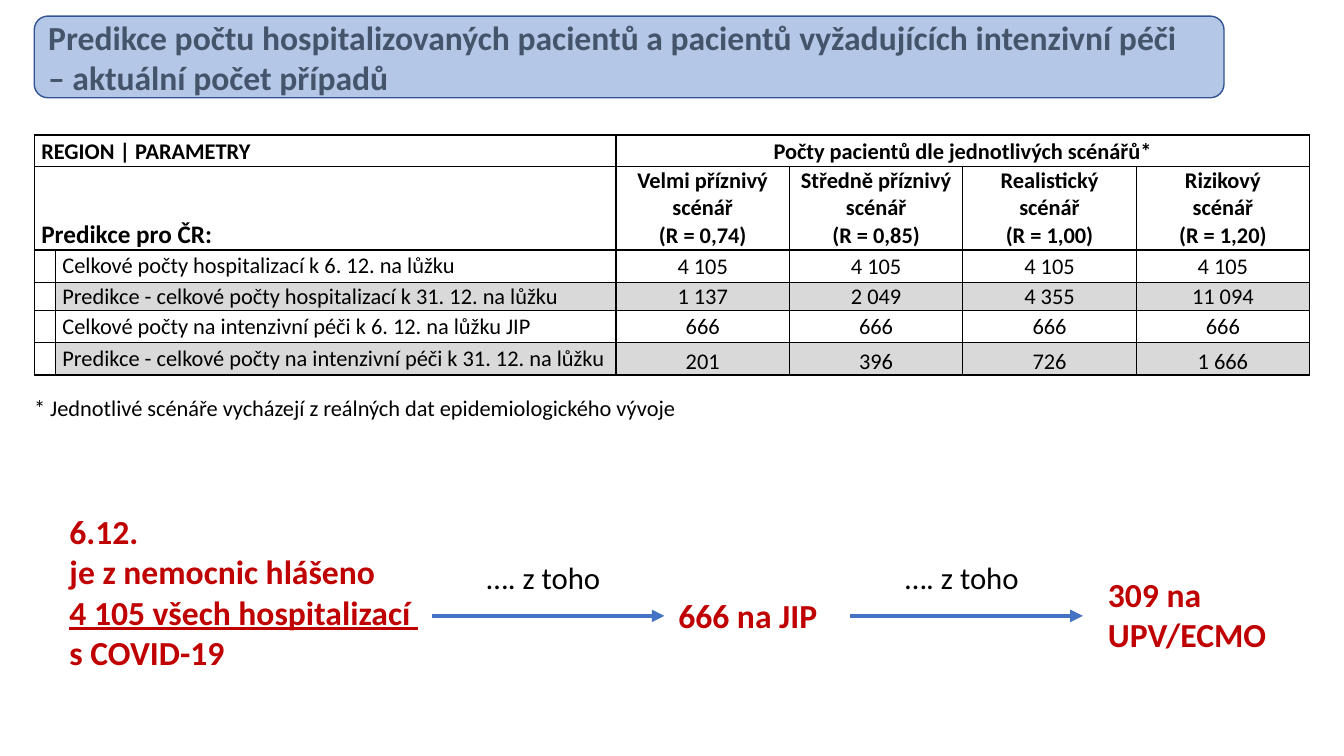
from dataclasses import dataclass
from lxml.etree import SubElement
from pptx import Presentation
from pptx.dml.color import RGBColor
from pptx.enum.shapes import MSO_CONNECTOR, MSO_SHAPE
from pptx.enum.text import MSO_ANCHOR, MSO_AUTO_SIZE, PP_ALIGN
from pptx.oxml.ns import qn
from pptx.util import Inches, Pt


@dataclass(frozen=True)
class Theme:
    font: str = "Calibri"
    black: str = "000000"
    white: str = "FFFFFF"
    red: str = "C00000"
    title: str = "44546A"
    banner: str = "B4C7E7"
    banner_line: str = "325491"
    arrow: str = "4472C4"
    band: str = "D9D9D9"
    body: int = 16
    region: int = 18
    link: int = 22
    big: int = 24
    tiny: int = 8


def rgb(value):
    return RGBColor.from_string(value)


class SlideBuilder:
    def __init__(self, slide, theme):
        self.s, self.t = slide, theme

    def set_text(self, tf, text, size, color, bold=False, align=PP_ALIGN.LEFT,
                 spacing=None, after=None):
        """Fill a text frame, one paragraph per line of text."""
        for i, line in enumerate(text.split("\n")):
            p = tf.add_paragraph() if i else tf.paragraphs[0]
            p.text = line
            p.alignment = align
            p.font.name, p.font.size, p.font.bold = self.t.font, Pt(size), bold
            p.font.color.rgb = rgb(color)
            if spacing:
                p.line_spacing = spacing
            if after:
                p.space_after = Pt(after)

    def text(self, x, y, w, h, text, size, color, **style):
        tf = self.s.shapes.add_textbox(Inches(x), Inches(y), Inches(w), Inches(h)).text_frame
        tf.word_wrap = True
        tf.auto_size = MSO_AUTO_SIZE.SHAPE_TO_FIT_TEXT
        self.set_text(tf, text, size, color, **style)
        return tf

    def banner(self, x, y, w, h, text):
        sp = self.s.shapes.add_shape(MSO_SHAPE.ROUNDED_RECTANGLE,
                                     Inches(x), Inches(y), Inches(w), Inches(h))
        sp.shadow.inherit = False
        sp.fill.solid()
        sp.fill.fore_color.rgb = rgb(self.t.banner)
        sp.line.color.rgb = rgb(self.t.banner_line)
        sp.line.width = Pt(1)
        sp.text_frame.word_wrap = True
        sp.text_frame.vertical_anchor = MSO_ANCHOR.MIDDLE
        self.set_text(sp.text_frame, text, self.t.big, self.t.title, bold=True)

    def arrow(self, x, y, w):
        cx = self.s.shapes.add_connector(MSO_CONNECTOR.STRAIGHT,
                                         Inches(x), Inches(y), Inches(x + w), Inches(y))
        cx.line.color.rgb = rgb(self.t.arrow)
        cx.line.width = Pt(3)
        spPr = cx._element.spPr
        SubElement(spPr.find(qn("a:ln")), qn("a:tailEnd"), type="triangle")
        SubElement(spPr, qn("a:effectLst"))

    def table(self, x, y, cols, rows):
        shape = self.s.shapes.add_table(len(rows), len(cols), Inches(x), Inches(y),
                                        Inches(sum(cols)), Inches(sum(rows)))
        table = shape.table
        table.first_row = table.horz_banding = False
        for column, width in zip(table.columns, cols):
            column.width = Inches(width)
        for row, height in zip(table.rows, rows):
            row.height = Inches(height)
            for cell in row.cells:
                self.frame_cell(cell)
        return table

    def frame_cell(self, cell):
        """Black border, white fill and a small empty line."""
        cell.margin_left = cell.margin_right = Inches(0.07)
        cell.margin_top = cell.margin_bottom = 0
        tcPr = cell._tc.get_or_add_tcPr()
        for side in ("lnL", "lnR", "lnT", "lnB"):
            ln = SubElement(tcPr, qn("a:" + side), w=str(Pt(1)))
            SubElement(SubElement(ln, qn("a:solidFill")), qn("a:srgbClr"), val=self.t.black)
        self.shade(cell, self.t.white)
        SubElement(cell.text_frame.paragraphs[0]._p, qn("a:endParaRPr"),
                   sz=str(self.t.tiny * 100))

    def shade(self, cell, color):
        cell.fill.solid()
        cell.fill.fore_color.rgb = rgb(color)

    def cell(self, cell, text, size=None, anchor=MSO_ANCHOR.MIDDLE, **style):
        cell.vertical_anchor = anchor
        self.set_text(cell.text_frame, text, size or self.t.body, self.t.black, **style)


theme = Theme()
prs = Presentation()
prs.slide_width, prs.slide_height = Inches(13.33), Inches(7.5)
b = SlideBuilder(prs.slides.add_slide(prs.slide_layouts[6]), theme)

# Title
b.banner(0.34, 0.16, 11.8, 0.81,
         "Predikce počtu hospitalizovaných pacientů a pacientů vyžadujících intenzivní péči"
         "\v– aktuální počet případů")

# Table headings
table = b.table(0.34, 1.34, [0.21, 5.56] + [1.72] * 4, [0.31, 0.83, 0.32, 0.13, 0.32, 0.32])
for row, first, last in ((0, 0, 1), (0, 2, 5), (1, 0, 1)):
    table.cell(row, first).merge(table.cell(row, last))
b.cell(table.cell(0, 0), "REGION | PARAMETRY", bold=True, spacing=1.07)
b.cell(table.cell(0, 2), "Počty pacientů dle jednotlivých scénářů*", bold=True,
       align=PP_ALIGN.CENTER, spacing=1.07)
b.cell(table.cell(1, 0), "Predikce pro ČR:", theme.region, MSO_ANCHOR.BOTTOM,
       bold=True, spacing=1.07)
scenarios = ["Velmi příznivý scénář\n(R = 0,74)", "Středně příznivý scénář\n(R = 0,85)",
             "Realistický\nscénář\n(R = 1,00)", "Rizikový\nscénář\n(R = 1,20)"]
for c, scenario in enumerate(scenarios, 2):
    b.cell(table.cell(1, c), scenario, bold=True, align=PP_ALIGN.CENTER)

# Table values, with every prediction row shaded
counts = [
    ("Celkové počty hospitalizací k\u00a06. 12. na lůžku", ["4 105"] * 4),
    ("Predikce - celkové počty hospitalizací k 31. 12. na lůžku",
     ["1 137", "2 049", "4 355", "11 094"]),
    ("Celkové počty na intenzivní péči k\u00a06. 12. na lůžku JIP", ["666"] * 4),
    ("Predikce - celkové počty na intenzivní péči k 31. 12. na lůžku",
     ["201", "396", "726", "1 666"]),
]
for r, (label, values) in enumerate(counts, 2):
    predicted = label.startswith("Predikce")
    anchor = MSO_ANCHOR.BOTTOM if predicted else MSO_ANCHOR.MIDDLE
    b.cell(table.cell(r, 1), label)
    for c, value in enumerate(values, 2):
        cell = table.cell(r, c)
        b.cell(cell, value, anchor=anchor, align=PP_ALIGN.CENTER)
        cell.margin_left = cell.margin_right = cell.margin_top = Inches(0.01)
    if predicted:
        for c in range(1, 6):
            b.shade(table.cell(r, c), theme.band)

# Footnote
b.text(0.24, 3.84, 8.96, 0.38,
       "* Jednotlivé scénáře vycházejí z\u00a0reálných dat epidemiologického vývoje",
       theme.body, theme.black, align=PP_ALIGN.JUSTIFY, spacing=1.07, after=8)

# Flow from all patients to intensive care
tf = b.text(0.59, 5.02, 3.69, 1.72,
            "6.12.\nje z nemocnic hlášeno\n4 105 všech hospitalizací \ns COVID-19",
            theme.big, theme.red, bold=True)
tf.paragraphs[2].font.underline = True
b.text(6.63, 5.85, 1.83, 0.5, "666 na JIP", theme.big, theme.red, bold=True)
b.text(10.89, 5.64, 2.31, 0.91, "309 na UPV/ECMO", theme.big, theme.red, bold=True)
for x in (4.28, 8.43):
    b.arrow(x, 6.11, 2.31)
    b.text(x - 0.19, 5.47, 2.6, 0.5, "…. z toho", theme.link, theme.black,
           align=PP_ALIGN.CENTER, spacing=1.07, after=8)

prs.save("out.pptx")
